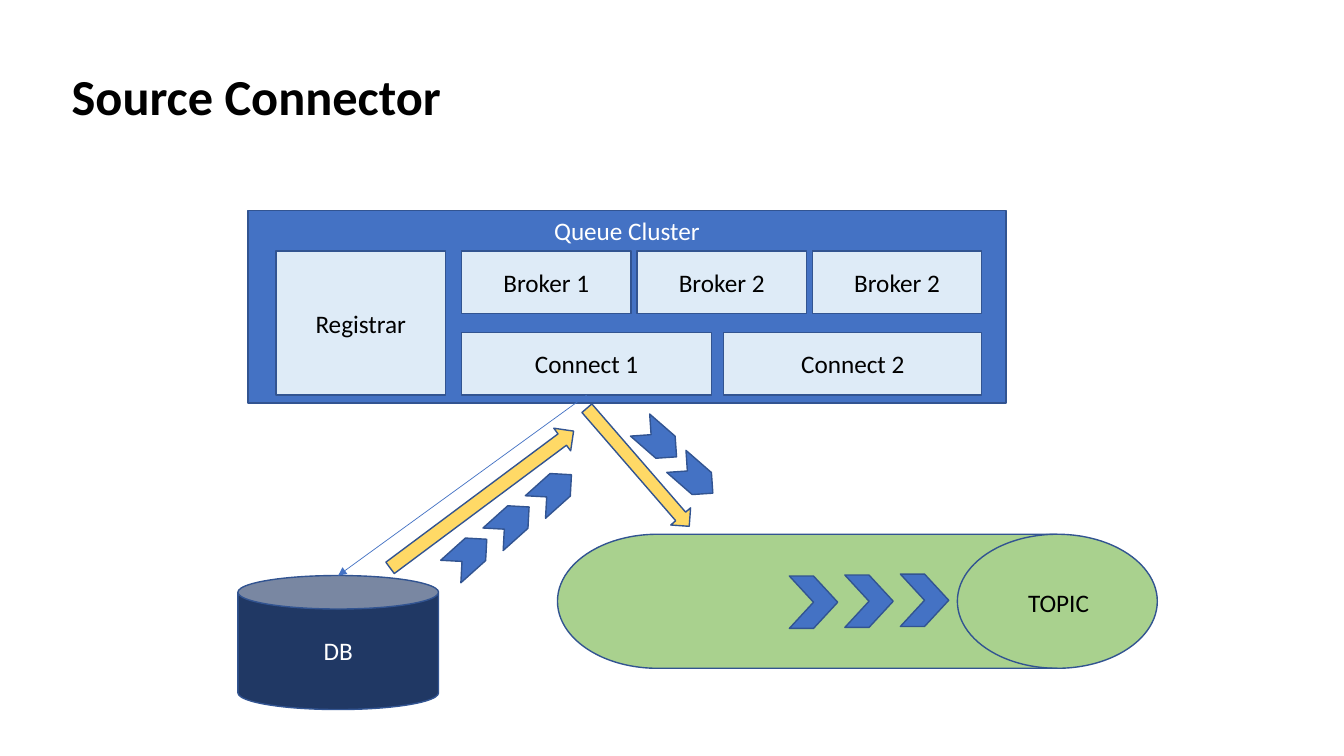
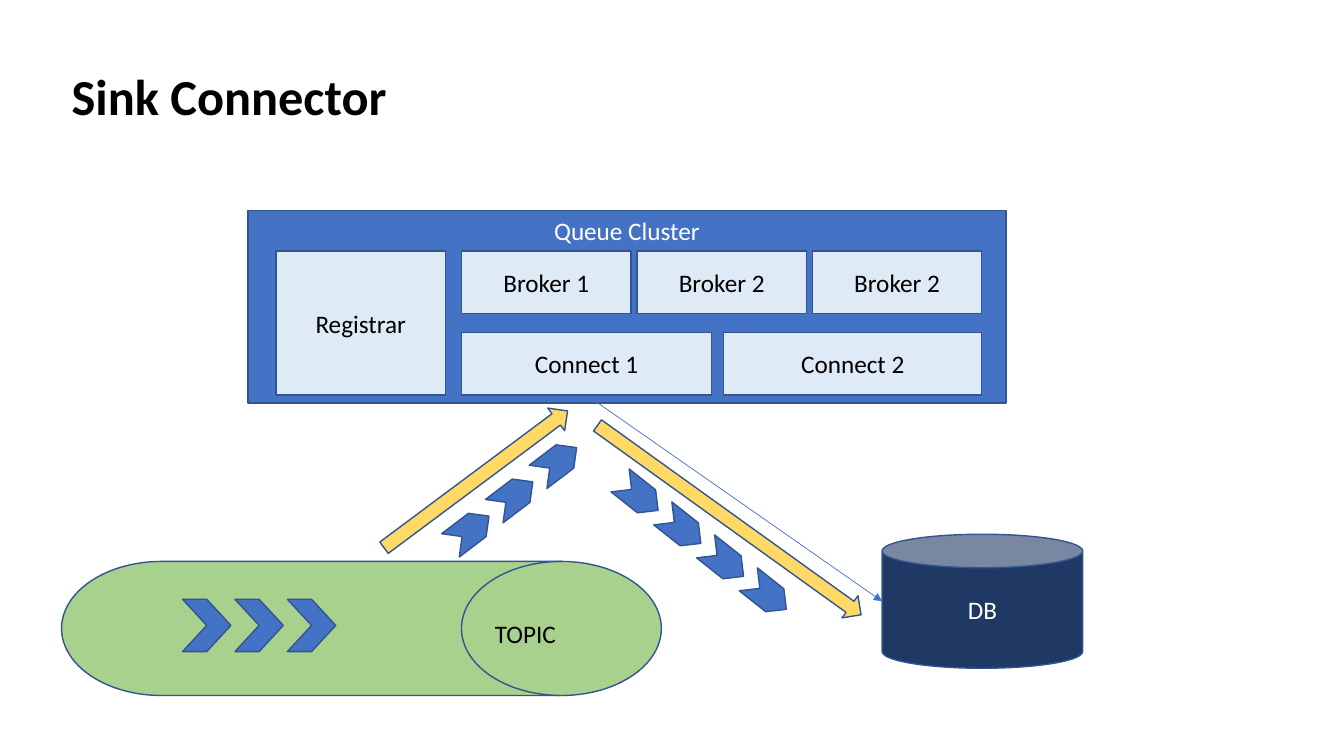
from dataclasses import dataclass

from lxml import etree
from pptx import Presentation
from pptx import util as u
from pptx.dml.color import RGBColor
from pptx.enum import shapes as es, text as et
from pptx.oxml import ns


@dataclass(frozen=True)
class Theme:
    font: str = "Calibri"
    head: int = 36
    body: int = 18
    edge: float = 1
    thin: float = 0.5
    blue: str = "4472C4"
    rim: str = "325491"
    pale: str = "DEEBF7"
    navy: str = "203864"
    green: str = "A9D18E"
    gold: str = "FFD966"
    black: str = "000000"
    white: str = "FFFFFF"


T = Theme()
S, A, V = es.MSO_SHAPE, et.PP_ALIGN, et.MSO_ANCHOR

deck = Presentation()
deck.slide_width, deck.slide_height = u.Inches(13.33), u.Inches(7.5)

# Grid: 100 columns by 100 rows
col, row = deck.slide_width / 100, deck.slide_height / 100


def write(shape, words, ink, size=T.body, align=A.CENTER, anchor=V.MIDDLE, bold=False):
    frame = shape.text_frame
    frame.word_wrap = True
    frame.auto_size = et.MSO_AUTO_SIZE.NONE
    frame.vertical_anchor = anchor
    para = frame.paragraphs[0]
    para.alignment = align
    para.line_spacing = 1.0
    run = para.add_run()
    run.text = words
    run.font.name, run.font.size, run.font.bold = T.font, u.Pt(size), bold
    run.font.color.rgb = RGBColor.from_string(ink)


def draw(home, kind, box, fill, turn=0):
    x, y, w, h = box
    shape = home.shapes.add_shape(
        kind, round(x * col), round(y * row), round(w * col), round(h * row))
    shape.shadow.inherit = False
    shape.fill.solid()
    shape.fill.fore_color.rgb = RGBColor.from_string(fill)
    shape.line.color.rgb = RGBColor.from_string(T.rim)
    shape.line.width = u.Pt(T.edge)
    shape.rotation = turn
    return shape


# Cluster: three brokers above two connect workers
left, top, tall, wide, pitch = 34.35, 33.2, 8.27, 12.6, 13.05
low = 44
nodes = [("Registrar", (20.55, top, wide, low + tall - top))]
for i, name in enumerate(["Broker 1", "Broker 2", "Broker 2"]):
    nodes.append((name, (left + i * pitch, top, wide, tall)))
nodes += [("Connect 1", (left, low, 18.6, tall)),
          ("Connect 2", (53.85, low, 19.2, tall))]
start = (left + 18.6 / 2, low + tall)

# Shared sizes
can_w, can_h = 14.93, 17.73
drum_w, drum_h = 44.63, 17.73

# Per slide; arrows: box, turn; trails: first x, y, step x, y, count, height, turn
pages = [
    dict(title="Source Connector", can=(17.7, 76.13), end=(0.5, 0),
         drum=(41.48, 70.67), label=(34.27, 6.4),
         arrows=[((46.5, 51.47, 1.95, 20.67), 319.1),
                 ((34.8, 50.93, 2.1, 30.27), 233.3)],
         trails=[(33.08, 71.47, 3.15, -4.27, 3, 4, 318.1),
                 (58.73, 76.2, 4.13, -0.13, 3, 6.93, 0),
                 (47.18, 56.4, 2.7, 4.8, 2, 3.87, 41.1)]),
    dict(title="Sink Connector", can=(65.63, 70.67), end=(0, 0.5),
         drum=(4.58, 74.27), label=(31.5, 6.8),
         arrows=[((53.25, 47.33, 2.03, 42.93), 305.7),
                 ((34.35, 48.27, 2.1, 30.27), 233.3)],
         trails=[(13.58, 79.27, 3.9, 0, 3, 6.93, 0),
                 (33.15, 68.27, 3.26, -4.53, 3, 3.87, 322.8),
                 (45.75, 63.6, 3.18, 4.36, 4, 3.87, 38.3)]),
]

for page in pages:
    slide = deck.slides.add_slide(deck.slide_layouts[5])

    # Title
    title = slide.shapes.title
    title.left, title.top = round(4.58 * col), round(7.87 * row)
    title.width, title.height = round(39 * col), round(9.47 * row)
    write(title, page["title"], T.black, T.head, A.LEFT, bold=True)

    # Cluster
    group = slide.shapes.add_group_shape()
    frame = draw(group, S.RECTANGLE, (18.45, 27.87, 56.4, 25.47), T.blue)
    write(frame, "Queue Cluster", T.white, anchor=V.TOP)
    for name, box in nodes:
        write(draw(group, S.RECTANGLE, box, T.pale), name, T.black)

    # Database
    x, y = page["can"]
    write(draw(slide, S.CAN, (x, y, can_w, can_h), T.navy), "DB", T.white)

    # Thin link from Connect 1 to the database
    dx, dy = page["end"]
    link = slide.shapes.add_connector(
        es.MSO_CONNECTOR.STRAIGHT, round(start[0] * col), round(start[1] * row),
        round((x + dx * can_w) * col), round((y + dy * can_h) * row))
    link.line.color.rgb = RGBColor.from_string(T.blue)
    link.line.width = u.Pt(T.thin)
    props = link._element.spPr
    tip = etree.SubElement(props.find(ns.qn("a:ln")), ns.qn("a:tailEnd"))
    tip.set("type", "triangle")
    etree.SubElement(props, ns.qn("a:effectLst"))

    # Topic drum
    x, y = page["drum"]
    draw(slide, S.FLOWCHART_DIRECT_ACCESS_STORAGE, (x, y, drum_w, drum_h), T.green)

    # Flow arrows
    for box, turn in page["arrows"]:
        draw(slide, S.DOWN_ARROW, box, T.gold, turn)

    # Chevron trails
    for cx, cy, sx, sy, count, high, turn in page["trails"]:
        trail = slide.shapes.add_group_shape()
        for i in range(count):
            draw(trail, S.CHEVRON, (cx + i * sx, cy + i * sy, 3.6, high), T.blue, turn)

    # Topic label
    dx, dy = page["label"]
    label = slide.shapes.add_textbox(
        round((x + dx) * col), round((y + dy) * row), round(8.48 * col), round(5.33 * row))
    write(label, "TOPIC", T.black, align=A.LEFT, anchor=V.TOP)

deck.save("out.pptx")
